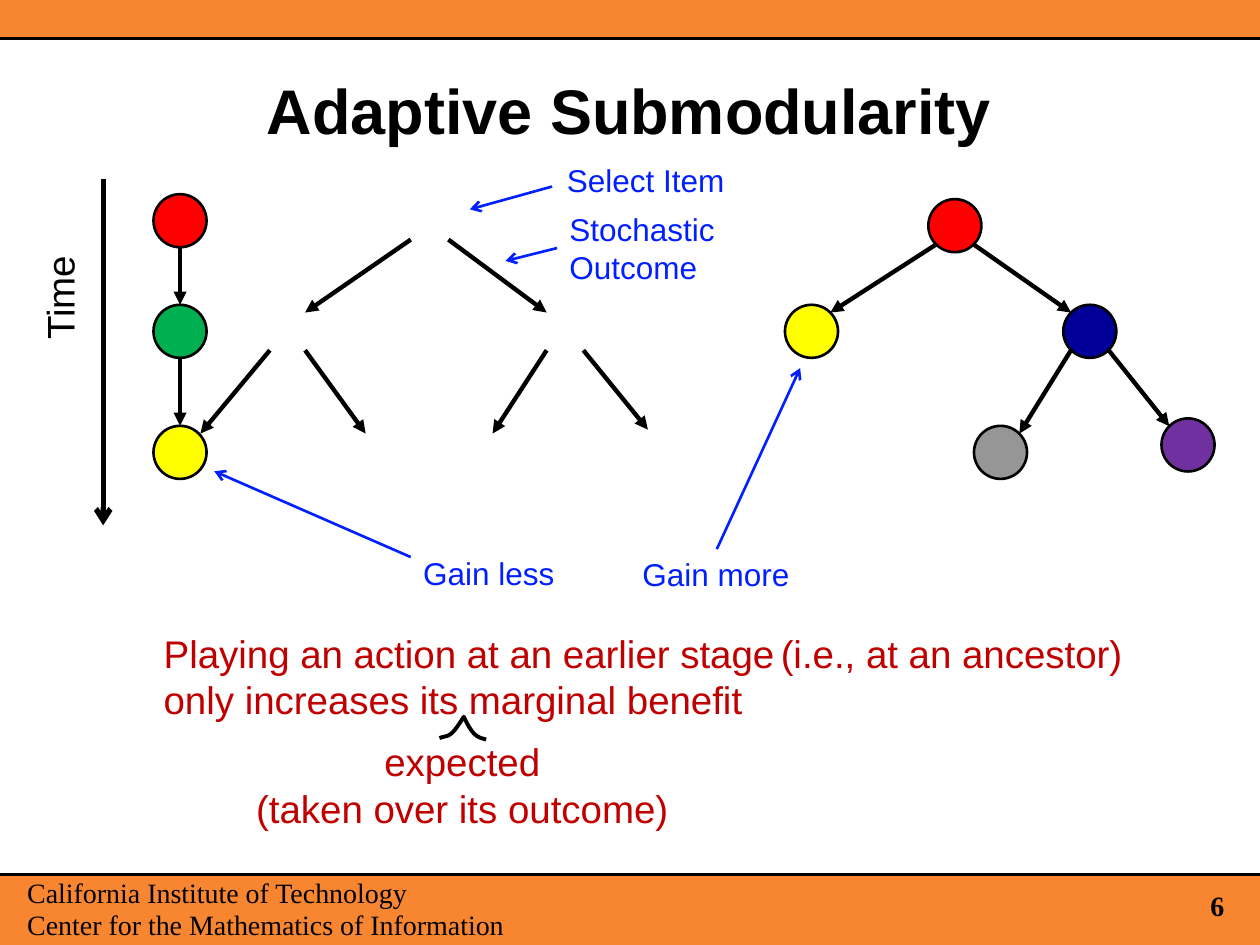
from lxml.etree import SubElement
from pptx import Presentation
from pptx.dml.color import RGBColor
from pptx.enum.shapes import MSO_CONNECTOR, MSO_SHAPE
from pptx.enum.text import MSO_ANCHOR, PP_ALIGN
from pptx.oxml.ns import qn
from pptx.util import Cm, Pt

BLACK, ORANGE, BLUE, CRIMSON = "000000", "F88631", "011FFF", "C00000"
RED, YELLOW, GREEN = "FF0000", "FFFF00", "00B050"
NAVY, PURPLE, GREY = "000099", "7030A0", "969696"
RADIUS = 0.535
DIAGONAL = RADIUS * 0.5 ** 0.5


def color(hex_string):
    return RGBColor.from_string(hex_string)


def bezier(p0, p1, p2, p3, steps=12):
    """Points along a cubic curve, without its start."""
    for i in range(1, steps + 1):
        t = i / steps
        u = 1 - t
        yield tuple(u**3 * a + 3 * u * u * t * b + 3 * u * t * t * c + t**3 * d
                    for a, b, c, d in zip(p0, p1, p2, p3))


class SlideBuilder:
    font = "Arial"
    footer_font = "Times New Roman"

    def __init__(self, slide):
        self.slide = slide
        self.shapes = slide.shapes

    def format_paragraph(self, paragraph, size, hex_color, font=None,
                         bold=False, align=PP_ALIGN.LEFT, spacing=None):
        paragraph.font.name = font or self.font
        paragraph.font.size = Pt(size)
        paragraph.font.bold = bold
        paragraph.font.color.rgb = color(hex_color)
        paragraph.alignment = align
        paragraph.line_spacing = spacing

    def title(self, text, left, top, width, height):
        title = self.shapes.title
        title.left, title.top = Cm(left), Cm(top)
        title.width, title.height = Cm(width), Cm(height)
        frame = title.text_frame
        frame.text = text
        frame.vertical_anchor = MSO_ANCHOR.MIDDLE
        frame.margin_left = frame.margin_right = 0
        frame.margin_top = frame.margin_bottom = 0
        self.format_paragraph(frame.paragraphs[0], 36, BLACK, bold=True,
                              align=PP_ALIGN.CENTER, spacing=0.83)

    def text(self, text, left, top, width, height, size, hex_color,
             rotation=0, **style):
        box = self.shapes.add_textbox(Cm(left), Cm(top), Cm(width), Cm(height))
        box.rotation = rotation
        frame = box.text_frame
        frame.word_wrap = False
        frame.text = text
        for paragraph in frame.paragraphs:
            self.format_paragraph(paragraph, size, hex_color, **style)

    def outline(self, shape, fill, weight):
        shape.shadow.inherit = False
        shape.fill.solid()
        shape.fill.fore_color.rgb = color(fill)
        shape.line.color.rgb = color(BLACK)
        shape.line.width = Pt(weight)

    def bar(self, top, height):
        bar = self.shapes.add_shape(MSO_SHAPE.RECTANGLE, Cm(-0.2), Cm(top),
                                    Cm(25.83), Cm(height))
        self.outline(bar, ORANGE, 1.75)

    def node(self, center, fill):
        x, y = center
        node = self.shapes.add_shape(MSO_SHAPE.OVAL, Cm(x - RADIUS), Cm(y - RADIUS),
                                     Cm(2 * RADIUS), Cm(2 * RADIUS))
        self.outline(node, fill, 1.5)

    def arrow(self, start, end, weight=2.5, hex_color=BLACK, head="triangle"):
        arrow = self.shapes.add_connector(MSO_CONNECTOR.STRAIGHT,
                                          *map(Cm, (*start, *end)))
        arrow.line.color.rgb = color(hex_color)
        arrow.line.width = Pt(weight)
        SubElement(arrow.line._get_or_add_ln(), qn("a:tailEnd"), type=head)
        SubElement(arrow._element.spPr, qn("a:effectLst"))

    def branch(self, parent, child):
        """Arrow between the facing diagonal points of two nodes."""
        side = DIAGONAL if child[0] > parent[0] else -DIAGONAL
        self.arrow((parent[0] + side, parent[1] + DIAGONAL),
                   (child[0] - side, child[1] - DIAGONAL))

    def curve(self, start, *segments):
        points, current = [], start
        for segment in segments:
            points += bezier(current, *segment)
            current = segment[-1]
        builder = self.shapes.build_freeform(Cm(start[0]), Cm(start[1]))
        builder.add_line_segments([(Cm(x), Cm(y)) for x, y in points], close=False)
        self.outline(builder.convert_to_shape(), "FFFFFF", 2.25)


def main():
    prs = Presentation()
    prs.slide_width, prs.slide_height = Cm(25.4), Cm(19.05)
    page = SlideBuilder(prs.slides.add_slide(prs.slide_layouts[5]))

    # Header and footer
    page.bar(17.63, 1.65)
    page.bar(-0.3, 1.07)
    page.text("6", 23.27, 17.86, 2.54, 0.97, 16, BLACK, font=page.footer_font,
              bold=True, align=PP_ALIGN.CENTER, spacing=0.9)
    page.text("California Institute of Technology\n"
              "Center for the Mathematics of Information",
              0.3, 17.58, 10.29, 1.55, 16, BLACK, font=page.footer_font, spacing=0.95)
    page.title("Adaptive Submodularity", 1.27, 0.76, 22.83, 3.15)

    # Time axis
    page.arrow((2.08, 3.61), (2.08, 10.59), weight=3, head="arrow")
    page.text("Time", 0.08, 5.38, 2.24, 1.19, 22, BLACK, rotation=270)

    # Chain of selected items
    chain_x, chain_rows = 3.63, (4.45, 6.68, 9.12)
    for y, fill in zip(chain_rows, (RED, GREEN, YELLOW)):
        page.node((chain_x, y), fill)
    for upper, lower in zip(chain_rows, chain_rows[1:]):
        page.arrow((chain_x, upper + RADIUS), (chain_x, lower - RADIUS))

    # Branches of the middle tree
    for start, end in (((8.28, 4.83), (6.15, 6.3)), ((9.04, 4.83), (11.02, 6.3)),
                       ((5.44, 7.06), (4.04, 8.74)), ((6.15, 7.06), (7.37, 8.74)),
                       ((11.02, 7.06), (9.93, 8.74)), ((11.76, 7.06), (13.06, 8.66))):
        page.arrow(start, end)

    # Right tree
    tree = {RED: (19.25, 4.55), YELLOW: (16.36, 6.68), NAVY: (21.97, 6.68),
            PURPLE: (23.95, 8.97), GREY: (20.17, 9.12)}
    for fill, center in tree.items():
        page.node(center, fill)
    for parent, child in ((RED, YELLOW), (RED, NAVY), (NAVY, GREY), (NAVY, PURPLE)):
        page.branch(tree[parent], tree[child])

    # Blue annotations
    for label, box, start, end in (
            ("Gain more", (12.7, 11.07, 3.51, 1.02), (14.45, 11.07), (16.13, 7.42)),
            ("Gain less", (8.28, 11.05, 3.18, 1.02), (8.28, 11.23), (4.32, 9.5)),
            ("Select Item", (11.18, 3.12, 3.71, 1.02), (11.13, 3.76), (9.47, 4.22)),
            ("Stochastic\nOutcome", (11.23, 4.11, 3.48, 1.8), (11.23, 5), (10.19, 5.26))):
        page.text(label, *box, 18, BLUE)
        page.arrow(start, end, weight=1.5, hex_color=BLUE, head="arrow")

    # Conclusion with the inserted word
    page.text("Playing an action at an earlier stage\nonly increases its marginal benefit",
              3.05, 12.57, 13.21, 2.13, 22, CRIMSON)
    page.text("(i.e., at an ancestor)", 15.49, 12.57, 7.49, 1.19, 22, CRIMSON)
    page.text("expected\n(taken over its outcome)", 4.85, 14.76, 8.94, 2.13,
              22, CRIMSON, align=PP_ALIGN.CENTER)
    page.curve((8.86, 14.88),
               ((9.04, 14.81), (9.07, 14.91), (9.35, 14.45)),
               ((9.55, 14.88), (9.65, 14.86), (9.8, 14.91)))

    prs.save("out.pptx")


if __name__ == "__main__":
    main()
